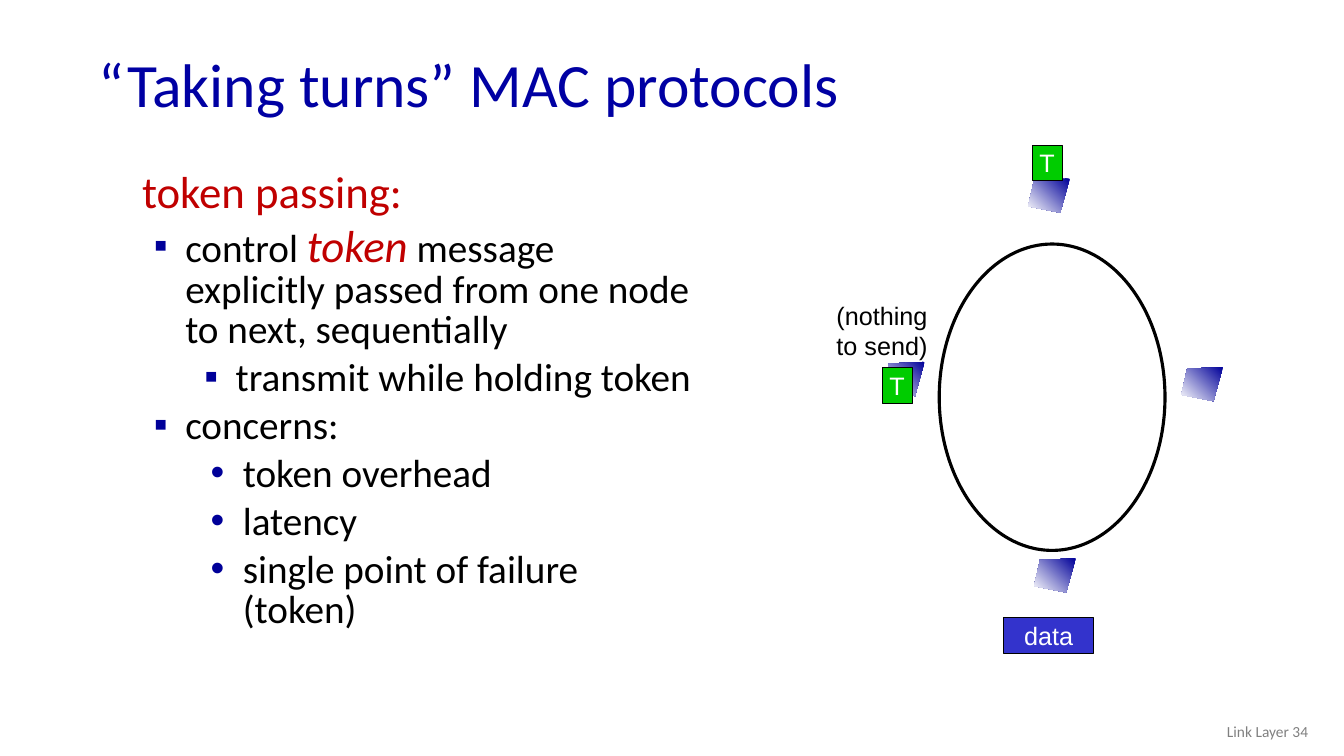
"""Build the slide on token passing as a "taking turns" MAC protocol."""
from lxml.etree import SubElement
from pptx import Presentation
from pptx.dml.color import RGBColor
from pptx.enum.shapes import MSO_SHAPE
from pptx.enum.text import MSO_ANCHOR, MSO_AUTO_SIZE, PP_ALIGN
from pptx.oxml.ns import qn
from pptx.util import Cm, Pt

TITLE_BLUE = RGBColor(0x00, 0x00, 0xA3)
NAVY = RGBColor(0x00, 0x00, 0x99)
RED = RGBColor(0xC0, 0x00, 0x00)
GREEN = RGBColor(0x00, 0xCC, 0x00)
DATA_BLUE = RGBColor(0x33, 0x33, 0xCC)
GRAY = RGBColor(0x80, 0x80, 0x80)
BLACK = RGBColor(0x00, 0x00, 0x00)
WHITE = RGBColor(0xFF, 0xFF, 0xFF)


def style_font(font, name, size, color):
    font.name = name
    font.size = Pt(size)
    font.color.rgb = color


def add_text_box(box, anchor):
    frame = slide.shapes.add_textbox(*map(Cm, box)).text_frame
    frame.word_wrap = True
    frame.vertical_anchor = anchor
    return frame


presentation = Presentation()
presentation.slide_width = Cm(33.87)
presentation.slide_height = Cm(19.05)
slide = presentation.slides.add_slide(presentation.slide_layouts[6])

title = add_text_box((2.24, 0.97, 29.21, 2.49), MSO_ANCHOR.MIDDLE).paragraphs[0]
title.text = "“Taking turns” MAC protocols"
title.line_spacing = 0.9
style_font(title.font, "Calibri", 44, TITLE_BLUE)

body = add_text_box((3.33, 4.22, 14.43, 12.9), MSO_ANCHOR.TOP)
heading = body.paragraphs[0]
heading.text = "token passing:"
heading.line_spacing = 0.85
style_font(heading.font, "Calibri", 32, RED)

points = [
    (0, "▪", 1.09, 0.79, ["control ", "token", " message explicitly passed from one node to next, sequentially"]),
    (1, "▪", 2.36, 0.79, ["transmit while holding token"]),
    (0, "▪", 1.09, 0.79, ["concerns:"]),
    (1, "•", 2.54, 0.81, ["token overhead"]),
    (1, "•", 2.54, 0.81, ["latency"]),
    (1, "•", 2.54, 0.81, ["single point of failure (token)"]),
]
for level, bullet, margin, hanging, texts in points:
    paragraph = body.add_paragraph()
    paragraph.level = level
    paragraph.line_spacing = 0.85
    paragraph.space_before = Pt(5.7)
    properties = paragraph._p.get_or_add_pPr()
    properties.set("marL", str(Cm(margin)))
    properties.set("indent", str(-Cm(hanging)))
    bullet_color = SubElement(properties, qn("a:buClr"))
    SubElement(bullet_color, qn("a:srgbClr"), val=str(NAVY))
    SubElement(properties, qn("a:buFont"), typeface="Arial")
    SubElement(properties, qn("a:buChar"), char=bullet)
    style_font(paragraph.font, "Calibri", 28, BLACK)
    for text in texts:
        run = paragraph.add_run()
        run.text = text
        if text == "token":
            style_font(run.font, "Calibri", 32, RED)
            run.font.italic = True

for left, top in [(29.77, 9.25), (22.25, 9.12), (25.91, 4.5), (26.06, 14.07)]:
    builder = slide.shapes.build_freeform(105, 0, scale=Cm(0.01))
    builder.add_line_segments([(15, 4), (0, 70), (81, 86)], close=True)
    node = builder.convert_to_shape(Cm(left), Cm(top))
    node.shadow.inherit = False
    node.line.fill.background()
    node.fill.gradient()
    node.fill.gradient_angle = 225
    for stop, color, position in zip(node.fill.gradient_stops, (NAVY, WHITE), (0, 1)):
        stop.color.rgb = color
        stop.position = position

ring = slide.shapes.add_shape(MSO_SHAPE.OVAL, Cm(23.67), Cm(6.15), Cm(5.69), Cm(7.72))
ring.shadow.inherit = False
ring.fill.background()
ring.line.color.rgb = BLACK
ring.line.width = Pt(2.25)

reply = add_text_box((20.83, 7.44, 2.84, 1.78), MSO_ANCHOR.TOP)
reply.word_wrap = False
reply.auto_size = MSO_AUTO_SIZE.SHAPE_TO_FIT_TEXT
reply.text = "(nothing\nto send)"
for paragraph in reply.paragraphs:
    style_font(paragraph.font, "Arial", 18, BLACK)

labels = [
    ("T", 26.01, 3.66, 0.76, GREEN),
    ("data", 25.3, 15.57, 2.26, DATA_BLUE),
    ("T", 22.23, 9.27, 0.76, GREEN),
]
for text, left, top, width, color in labels:
    label = slide.shapes.add_shape(MSO_SHAPE.RECTANGLE, Cm(left), Cm(top), Cm(width), Cm(0.89))
    label.shadow.inherit = False
    label.fill.solid()
    label.fill.fore_color.rgb = color
    label.line.color.rgb = BLACK
    label.line.width = Pt(0.75)
    label.text_frame.word_wrap = False
    label.text_frame.vertical_anchor = MSO_ANCHOR.MIDDLE
    paragraph = label.text_frame.paragraphs[0]
    paragraph.text = text
    paragraph.alignment = PP_ALIGN.CENTER
    style_font(paragraph.font, "Arial", 18, WHITE)

footer = add_text_box((25.6, 17.91, 7.62, 1.02), MSO_ANCHOR.MIDDLE).paragraphs[0]
footer.text = "Link Layer 34"
footer.alignment = PP_ALIGN.RIGHT
style_font(footer.font, "Calibri", 11, GRAY)

presentation.save("out.pptx")
